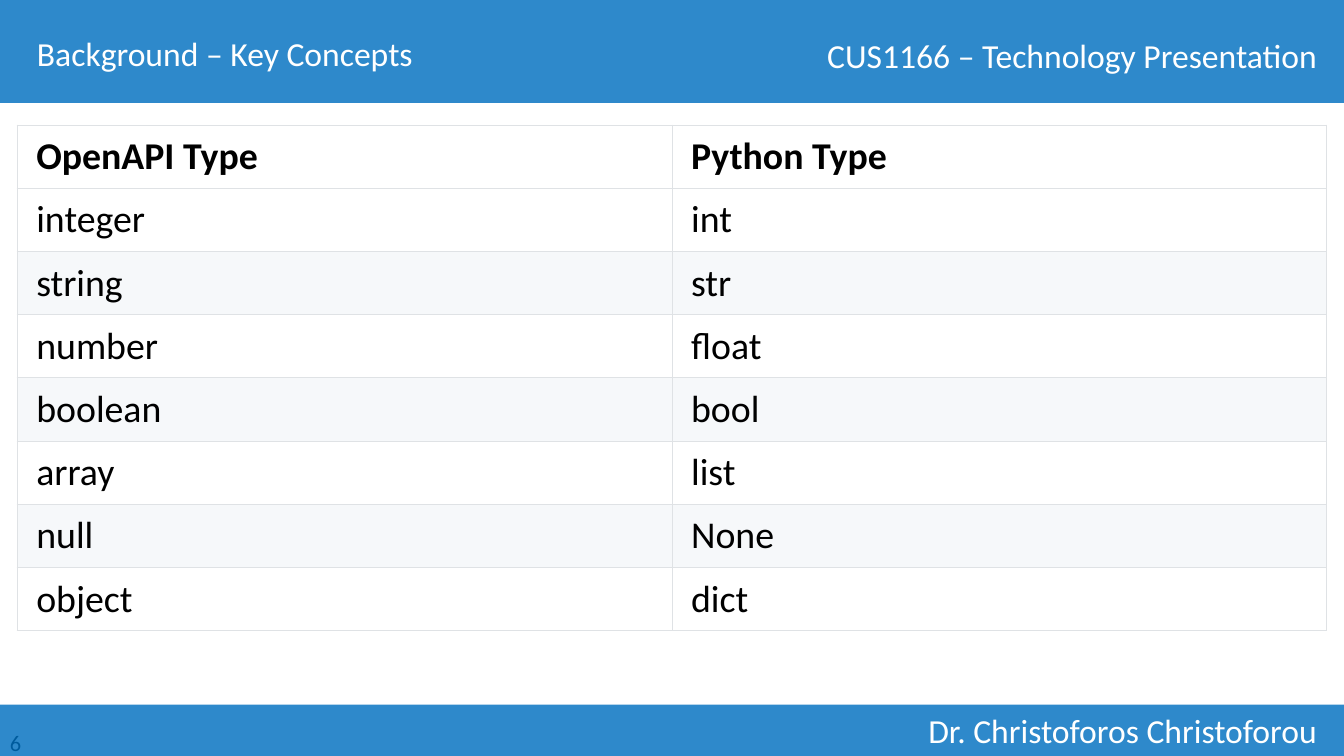
from lxml import etree
from pptx import Presentation
from pptx import util as u
from pptx.dml.color import RGBColor
from pptx.enum import shapes, text
from pptx.oxml import ns

BLUE = RGBColor(0x00, 0x70, 0xC0)
WHITE = RGBColor(0xFF, 0xFF, 0xFF)
BLACK = RGBColor(0x00, 0x00, 0x00)
STRIPE = RGBColor(0xF6, 0xF8, 0xFA)
BORDER = RGBColor(0xDF, 0xE2, 0xE5)

prs = Presentation()
prs.slide_width, prs.slide_height = u.Inches(13.33), u.Inches(7.5)
W, H = prs.slide_width, prs.slide_height
MARGIN = u.Inches(0.17)
BAR_H = u.Inches(1.02)
FOOT_TOP = u.Inches(6.99)
LINE_H = H // 15
s = prs.slides.add_slide(prs.slide_layouts[5])


def write(tf, words, size, color, align=text.PP_ALIGN.LEFT, bold=False):
    """Put one formatted line of text into a text frame."""
    p = tf.paragraphs[0]
    p.alignment = align
    r = p.add_run()
    r.text = words
    formats = {"name": "Calibri", "size": u.Pt(size), "bold": bold}
    for key, value in formats.items():
        setattr(r.font, key, value)
    r.font.color.rgb = color


def add_sub(parent, tag, **attrs):
    """Append a DrawingML child element and return it."""
    return etree.SubElement(parent, ns.qn(tag), attrs)


# Slide number, seen through the footer bar
number = s.shapes.add_textbox(0, u.Inches(7.18), u.Inches(1.17), u.Inches(0.3))
number.text_frame.word_wrap = True
write(number.text_frame, "6", 16, BLACK)

# Header and footer bars
for top, height in ((0, BAR_H), (FOOT_TOP, H - FOOT_TOP)):
    bar = s.shapes.add_shape(shapes.MSO_SHAPE.RECTANGLE, 0, top, W, height)
    bar.shadow.inherit = False
    bar.fill.solid()
    bar.fill.fore_color.rgb = BLUE
    bar.line.fill.background()
    color = bar.fill._xPr.find(".//" + ns.qn("a:srgbClr"))
    add_sub(color, "a:alpha", val="82000")

# Right-aligned labels on the bars
labels = (
    ("CUS1166 – Technology Presentation", u.Inches(0.3)),
    ("Dr. Christoforos Christoforou", FOOT_TOP),
)
for words, top in labels:
    label = s.shapes.add_textbox(W * 3 // 5, top, W * 2 // 5 - MARGIN, LINE_H)
    label.text_frame.word_wrap = True
    write(label.text_frame, words, 24, WHITE, text.PP_ALIGN.RIGHT)

# Title, brought in front of the header bar
title = s.shapes.title
place = {"left": W // 50, "top": u.Inches(0.28), "width": W * 29 // 50, "height": LINE_H}
for key, value in place.items():
    setattr(title, key, value)
frame = {
    "vertical_anchor": text.MSO_ANCHOR.TOP,
    "auto_size": text.MSO_AUTO_SIZE.NONE,
    "word_wrap": True,
}
for key, value in frame.items():
    setattr(title.text_frame, key, value)
write(title.text_frame, "Background – Key Concepts", 24, WHITE)
s.shapes._spTree.append(title._element)

# Type table
rows = (
    ("OpenAPI Type", "Python Type"),
    ("integer", "int"),
    ("string", "str"),
    ("number", "float"),
    ("boolean", "bool"),
    ("array", "list"),
    ("null", "None"),
    ("object", "dict"),
)
table = s.shapes.add_table(
    len(rows), 2, MARGIN, u.Inches(1.24), W - 2 * MARGIN, u.Inches(5.02)
).table
table.first_row = table.horz_banding = False
cell_format = {
    "margin_left": u.Inches(0.19),
    "margin_right": u.Inches(0.19),
    "margin_top": u.Inches(0.08),
    "margin_bottom": u.Inches(0.08),
    "vertical_anchor": text.MSO_ANCHOR.MIDDLE,
}
for i, row in enumerate(rows):
    for j, words in enumerate(row):
        cell = table.cell(i, j)
        for key, value in cell_format.items():
            setattr(cell, key, value)
        write(cell.text_frame, words, 27, BLACK, bold=i == 0)
        tc_pr = cell._tc.get_or_add_tcPr()
        for side in ("L", "R", "T", "B"):
            ln = add_sub(tc_pr, "a:ln" + side, w=str(u.Pt(0.75)))
            add_sub(add_sub(ln, "a:solidFill"), "a:srgbClr", val=str(BORDER))
        cell.fill.solid()
        cell.fill.fore_color.rgb = STRIPE if i and i % 2 == 0 else WHITE

prs.save("out.pptx")
